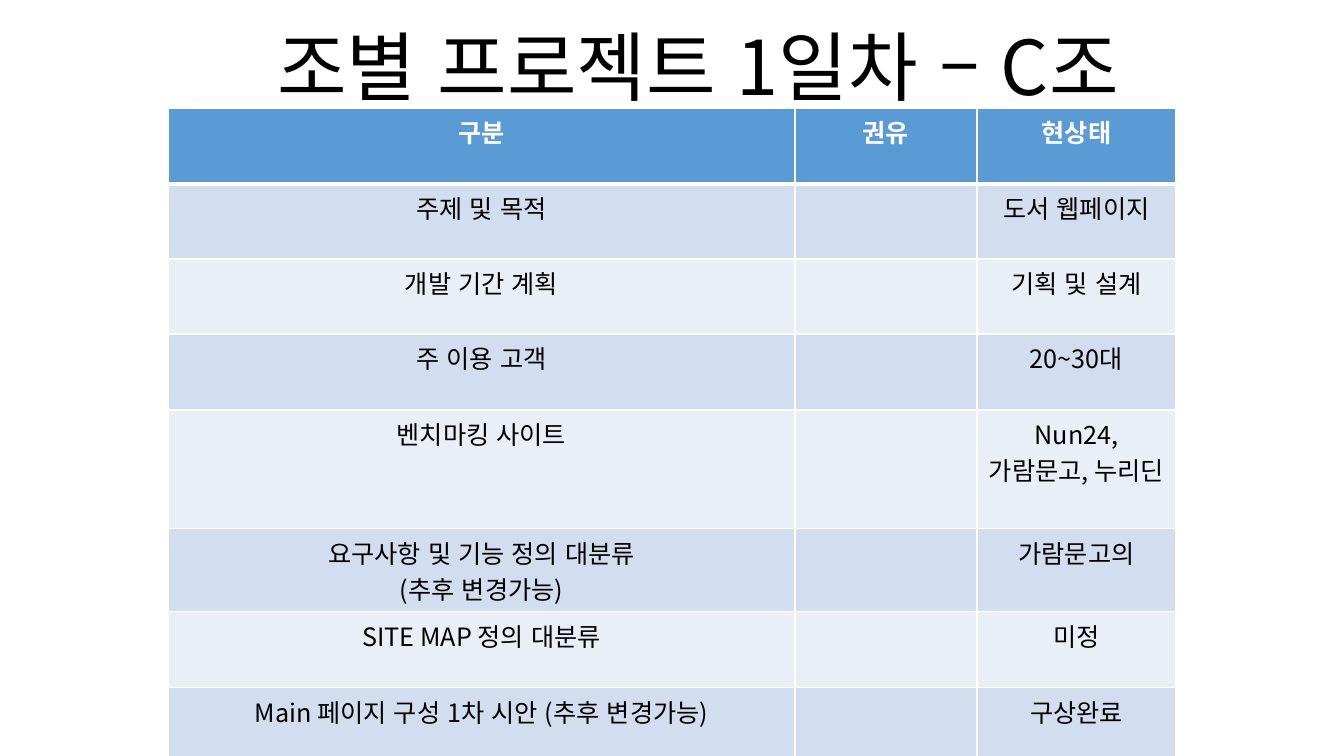
from lxml.etree import SubElement
from pptx import Presentation
from pptx.dml.color import RGBColor
from pptx.enum.lang import MSO_LANGUAGE_ID
from pptx.enum.text import MSO_ANCHOR, PP_ALIGN
from pptx.oxml.ns import qn
from pptx.util import Emu, Pt

SCALE = 914400 / 100.8
FONT = "Noto Sans CJK KR"
COLORS = {
    "text": "000000",
    "header_text": "FFFFFF",
    "header": "5B9BD5",
    "odd": "D2DEEF",
    "even": "EAEFF7",
    "border": "FFFFFF",
}
COLUMNS = [627, 182, 199]
ROWS = [76, 75, 75, 76, 119, 83, 76, 75]
HEADER = ["구분", "권유", "현상태"]
ITEMS = [
    (["주제 및 목적"], "도서 웹페이지"),
    (["개발 기간 계획"], "기획 및 설계"),
    (["주 이용 고객"], "20~30대"),
    (["벤치마킹 사이트"], "Nun24, 가람문고, 누리딘"),
    (["요구사항 및 기능 정의 대분류", "(추후 변경가능)"], "가람문고의"),
    (["SITE MAP 정의 대분류"], "미정"),
    (["Main 페이지 구성 1차 시안 (추후 변경가능)"], "구상완료"),
]


def px(n):
    return Emu(round(n * SCALE))


def rgb(name):
    return RGBColor.from_string(COLORS[name])


def add_text(tf, lines, size, color, bold=False, spacing=None):
    for i, line in enumerate(lines):
        p = tf.add_paragraph() if i else tf.paragraphs[0]
        p.alignment = PP_ALIGN.CENTER
        p.line_spacing = spacing
        r = p.add_run()
        r.text = line
        r.font.size = Pt(size)
        r.font.bold = bold
        r.font.name = FONT
        r.font.language_id = MSO_LANGUAGE_ID.KOREAN
        r.font.color.rgb = rgb(color)
        SubElement(r.font._element, qn("a:ea"), typeface=FONT)


def add_title(s, text, x, y, w, h):
    tf = s.shapes.add_textbox(px(x), px(y), px(w), px(h)).text_frame
    tf.word_wrap = True
    tf.vertical_anchor = MSO_ANCHOR.BOTTOM
    add_text(tf, [text], 54, "text", spacing=0.9)


def set_borders(cell, widths):
    tcPr = cell._tc.get_or_add_tcPr()
    for side, width in zip("LRTB", widths):
        ln = SubElement(tcPr, qn(f"a:ln{side}"), w=str(Pt(width)))
        fill = SubElement(ln, qn("a:solidFill"))
        SubElement(fill, qn("a:srgbClr"), val=COLORS["border"])


def fill_cell(cell, lines, fill, color, bold, widths):
    set_borders(cell, widths)
    cell.fill.solid()
    cell.fill.fore_color.rgb = rgb(fill)
    add_text(cell.text_frame, lines, 18, color, bold)


def add_status_table(s, x, y):
    rows = [[[name] for name in HEADER]]
    rows += [[item, [], [status]] for item, status in ITEMS]
    table = s.shapes.add_table(
        len(rows), len(COLUMNS), px(x), px(y), px(sum(COLUMNS)), px(sum(ROWS))
    ).table
    for column, width in zip(table.columns, COLUMNS):
        column.width = px(width)
    for i, row in enumerate(rows):
        table.rows[i].height = px(ROWS[i])
        for j, lines in enumerate(row):
            cell = table.cell(i, j)
            if i == 0:
                fill_cell(cell, lines, "header", "header_text", True, (1, 1, 1, 3))
            else:
                fill = "odd" if i % 2 else "even"
                top = 3 if i == 1 else 1
                fill_cell(cell, lines, fill, "text", False, (1, 1, top, 1))


def main():
    prs = Presentation()
    prs.slide_width, prs.slide_height = px(1344), px(756)
    s = prs.slides.add_slide(prs.slide_layouts[6])
    add_title(s, "조별 프로젝트 1일차 – C조", 168, 32, 1060, 85)
    add_status_table(s, 168, 108)
    prs.save("out.pptx")


main()
